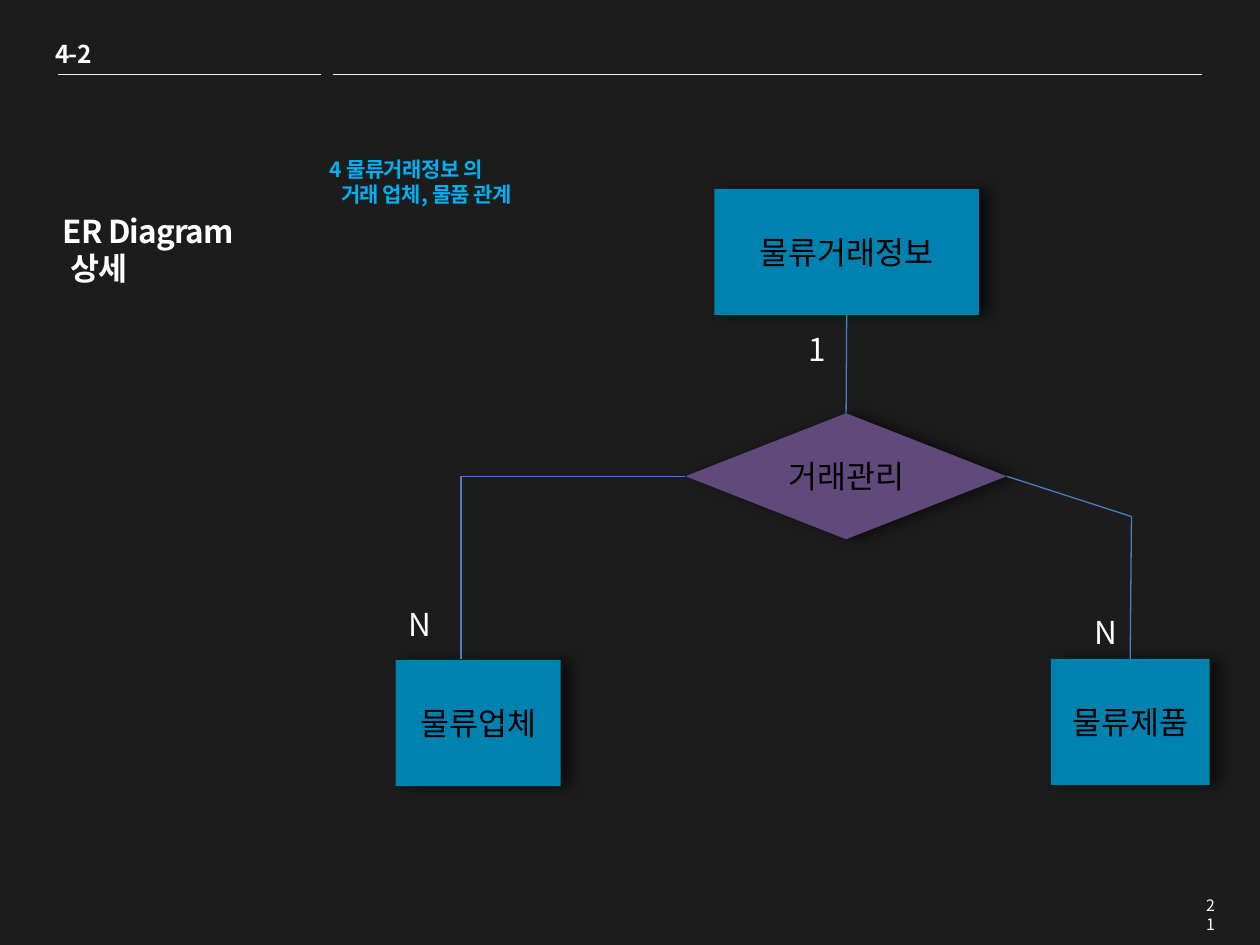
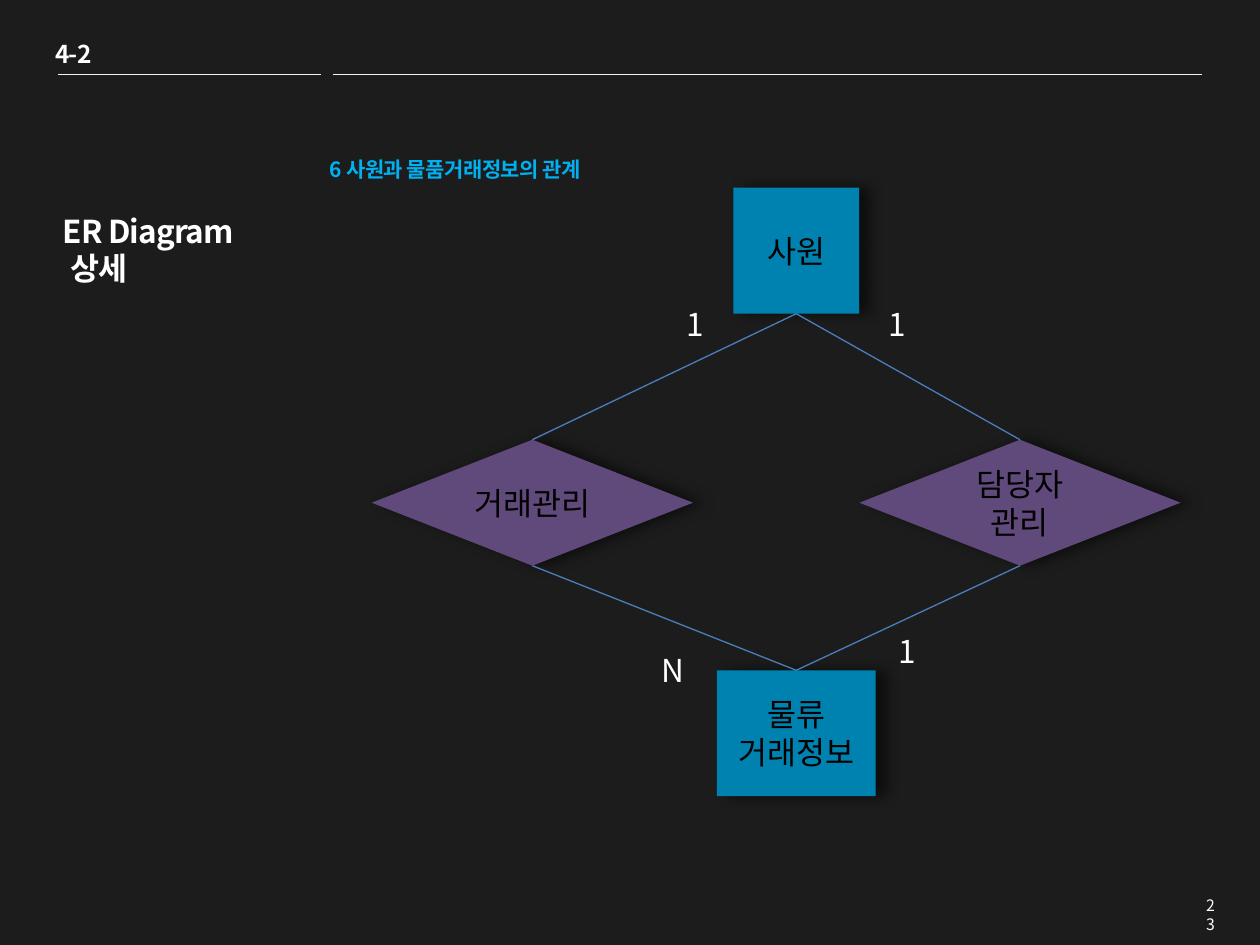
import pptx
import pptx.dml.color
import pptx.enum.shapes
import pptx.enum.text
import pptx.oxml.ns
import pptx.util
from lxml import etree

Inches = pptx.util.Inches
Pt = pptx.util.Pt
KIND = pptx.enum.shapes.MSO_SHAPE
ALIGN = pptx.enum.text.PP_ALIGN
TOP, LEFT, BOTTOM, RIGHT = range(4)

FONT = "Noto Sans CJK KR"
BACK, WHITE, BLACK, RULE = "1C1C1C", "FFFFFF", "000000", "F2F2F2"
BLUE, PLUM, SKY, WIRE = "0082B0", "604A7B", "00B0F0", "4B7EBC"


def color(code):
    return pptx.dml.color.RGBColor.from_string(code)


def child(node, tag, **attrs):
    """Append a DrawingML element to a node."""
    return etree.SubElement(node, pptx.oxml.ns.qn("a:" + tag), attrs)


class Deck:
    def __init__(self):
        self.show = pptx.Presentation()
        self.show.slide_width = Inches(10)
        self.show.slide_height = Inches(7.5)
        self.slide = None

    # Frame shared by every slide
    def page(self, number, topic):
        self.slide = self.show.slides.add_slide(self.show.slide_layouts[6])
        fill = self.slide.background.fill
        fill.solid()
        fill.fore_color.rgb = color(BACK)
        self.text(2.52, 1.19, 2.83, 0.5, topic, size=12, tint=SKY,
                  bold=True, track=-30, shift=0.09)
        self.text(0.34, 0.26, 0.49, 0.34, ["4-2"], size=14, bold=True,
                  track=-50, wrap=False)
        self.line((0.46, 0.59), (2.55, 0.59), RULE, 0.25)
        self.line((2.64, 0.59), (9.54, 0.59), RULE, 0.25)
        self.text(9.46, 7.06, 0.28, 0.4, [number], size=9, align=ALIGN.RIGHT)
        self.text(0.4, 1.63, 2.15, 1, ["ER Diagram", "상세"], bold=True,
                  track=-50, shift=0.06)

    # Text lines; shift indents each line after the first
    def letter(self, frame, lines, size=18, tint=WHITE, bold=False, track=0,
               align=ALIGN.LEFT, wrap=True, shift=0):
        frame.word_wrap = wrap
        style = {"size": Pt(size), "bold": bold, "name": FONT}
        for i, words in enumerate(lines):
            para = frame.add_paragraph() if i else frame.paragraphs[0]
            para.alignment = align
            if i and shift:
                para._p.get_or_add_pPr().set("marL", str(Inches(shift)))
            run = para.add_run()
            run.text = words
            for key, value in style.items():
                setattr(run.font, key, value)
            run.font.color.rgb = color(tint)
            props = run._r.get_or_add_rPr()
            child(props, "ea", typeface=FONT)
            if track:
                props.set("spc", str(track))

    def text(self, x, y, w, h, lines, **style):
        box = self.slide.shapes.add_textbox(
            Inches(x), Inches(y), Inches(w), Inches(h))
        self.letter(box.text_frame, lines, **style)

    # Cardinality mark beside a line
    def mark(self, x, y, sign):
        self.text(x, y, 0.39 if sign == "N" else 0.35, 0.4, [sign], wrap=False)

    # Filled node with a soft shadow to the right
    def node(self, kind, fill, x, y, w, lines):
        shape = self.slide.shapes.add_shape(
            kind, Inches(x), Inches(y), Inches(w), Inches(1))
        shape.fill.solid()
        shape.fill.fore_color.rgb = color(fill)
        shape.line.fill.background()
        shape.shadow.inherit = False
        glow = child(shape._element.spPr.find(pptx.oxml.ns.qn("a:effectLst")),
                     "outerShdw", blurRad=str(Pt(8)), dist=str(Pt(6)),
                     dir="0", algn="l", rotWithShape="0")
        child(child(glow, "srgbClr", val=BLACK), "alpha", val="55000")
        shape.text_frame.vertical_anchor = pptx.enum.text.MSO_ANCHOR.MIDDLE
        self.letter(shape.text_frame, lines, tint=BLACK, align=ALIGN.CENTER)
        return shape

    def box(self, x, y, w, *lines):
        return self.node(KIND.RECTANGLE, BLUE, x, y, w, lines)

    def gem(self, x, y, *lines):
        return self.node(KIND.DIAMOND, PLUM, x, y, 2.55, lines)

    # Each end is a point (x, y) or a joint (shape, side)
    def line(self, start, end, tint=WIRE, width=0.75):
        ends = (start, end)
        spots = [(0, 0) if hasattr(e[0], "shape_id") else e for e in ends]
        wire = self.slide.shapes.add_connector(
            pptx.enum.shapes.MSO_CONNECTOR.STRAIGHT,
            *(Inches(v) for spot in spots for v in spot))
        for join, e in zip((wire.begin_connect, wire.end_connect), ends):
            if hasattr(e[0], "shape_id"):
                join(*e)
        wire.line.color.rgb = color(tint)
        wire.line.width = Pt(width)
        child(wire._element.spPr, "effectLst")


def trade(deck):
    deck.page("21", ["4 물류거래정보 의", "거래 업체, 물품 관계"])
    # Nodes
    info = deck.box(5.67, 1.5, 2.1, "물류거래정보")
    deal = deck.gem(5.44, 3.28, "거래관리")
    deck.box(3.14, 5.24, 1.31, "물류업체")
    goods = deck.box(8.34, 5.23, 1.26, "물류제품")
    # Links
    left, right = (3.66, 3.78), (8.98, 4.1)
    deck.line((info, BOTTOM), (deal, TOP))
    deck.line((deal, LEFT), left)
    deck.line(left, (3.66, 5.23))
    deck.line((deal, RIGHT), right)
    deck.line(right, (goods, TOP))
    # Marks
    for x, y, sign in ((6.32, 2.57, "1"), (8.59, 4.82, "N"), (3.14, 4.75, "N")):
        deck.mark(x, y, sign)


def staff(deck):
    deck.page("23", ["6 사원과 물품거래정보의 관계"])
    # Nodes
    person = deck.box(5.82, 1.49, 1, "사원")
    info = deck.box(5.69, 5.32, 1.26, "물류", "거래정보")
    deal = deck.gem(2.95, 3.49, "거래관리")
    care = deck.gem(6.82, 3.49, "담당자", "관리")
    # Links
    for gem in (deal, care):
        deck.line((person, BOTTOM), (gem, TOP))
        deck.line((info, TOP), (gem, BOTTOM))
    # Marks
    for x, y, sign in ((5.35, 2.37, "1"), (6.95, 2.37, "1"),
                       (5.15, 5.12, "N"), (7.03, 4.97, "1")):
        deck.mark(x, y, sign)


def main():
    deck = Deck()
    trade(deck)
    staff(deck)
    deck.show.save("out.pptx")


if __name__ == "__main__":
    main()
